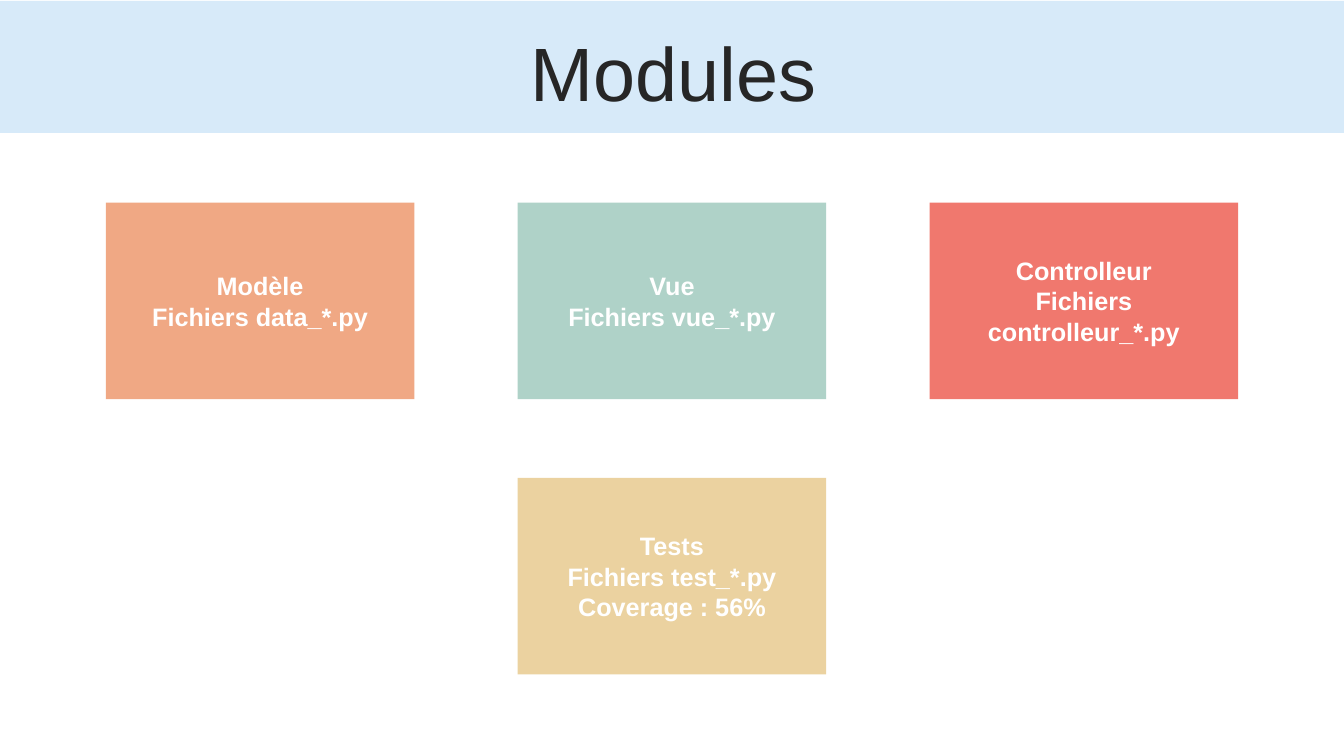
import pptx
import pptx.dml.color
import pptx.enum.shapes
import pptx.enum.text
import pptx.oxml.ns
import pptx.util
import lxml.etree

Inches = pptx.util.Inches
RGB = pptx.dml.color.RGBColor

TITLE = "Modules"
ORANGE = RGB(0xF0, 0xA8, 0x84)
GREEN = RGB(0xAF, 0xD2, 0xC8)
RED = RGB(0xF0, 0x78, 0x6E)
SAND = RGB(0xEB, 0xD2, 0xA0)
BLUE = RGB(0x96, 0xC8, 0xF0)
DARK = RGB(0x26, 0x26, 0x26)
WHITE = RGB(0xFF, 0xFF, 0xFF)

CARDS = [
    (0, 0, ORANGE, ["Modèle", "Fichiers data_*.py"]),
    (1, 0, GREEN, ["Vue", "Fichiers vue_*.py"]),
    (2, 0, RED, ["Controlleur", "Fichiers controlleur_*.py"]),
    (1, 1, SAND, ["Tests", "Fichiers test_*.py", "Coverage : 56%"]),
]
LEFT, TOP = 1.05, 2.01
WIDTH, HEIGHT = 3.06, 1.95
STEP_X, STEP_Y = 4.085, 2.73


def write(shape, lines, size=18, color=WHITE, bold=True, before=None, space=None):
    frame = shape.text_frame
    frame.word_wrap = True
    frame.vertical_anchor = pptx.enum.text.MSO_ANCHOR.MIDDLE
    for i, line in enumerate(lines):
        para = frame.add_paragraph() if i else frame.paragraphs[0]
        para.alignment = pptx.enum.text.PP_ALIGN.CENTER
        para.space_before = before
        para.line_spacing = space
        run = para.add_run()
        run.text = line
        run.font.name = "Arial"
        run.font.size = pptx.util.Pt(size)
        run.font.bold = bold
        run.font.color.rgb = color


def block(slide, x, y, w, h, color):
    shape = slide.shapes.add_shape(
        pptx.enum.shapes.MSO_SHAPE.RECTANGLE,
        Inches(x), Inches(y), Inches(w), Inches(h))
    shape.shadow.inherit = False
    shape.fill.solid()
    shape.fill.fore_color.rgb = color
    shape.line.fill.background()
    return shape


def main():
    deck = pptx.Presentation()
    deck.slide_width = Inches(13.33)
    deck.slide_height = Inches(7.5)
    slide = deck.slides.add_slide(deck.slide_layouts[6])

    band = block(slide, 0, 0.01, 13.33, 1.31, BLUE)
    tag = pptx.oxml.ns.qn("a:srgbClr")
    tint = next(band.element.spPr.iter(tag))
    alpha = lxml.etree.SubElement(tint, pptx.oxml.ns.qn("a:alpha"))
    alpha.set("val", "38000")

    title = slide.shapes.add_textbox(
        Inches(0.35), Inches(0.37), Inches(12.66), Inches(0.79))
    write(title, [TITLE], size=54, color=DARK, bold=False,
          before=pptx.util.Pt(10), space=0.9)

    for col, row, color, lines in CARDS:
        card = block(slide, LEFT + col * STEP_X, TOP + row * STEP_Y,
                     WIDTH, HEIGHT, color)
        write(card, lines)

    deck.save("out.pptx")


if __name__ == "__main__":
    main()
